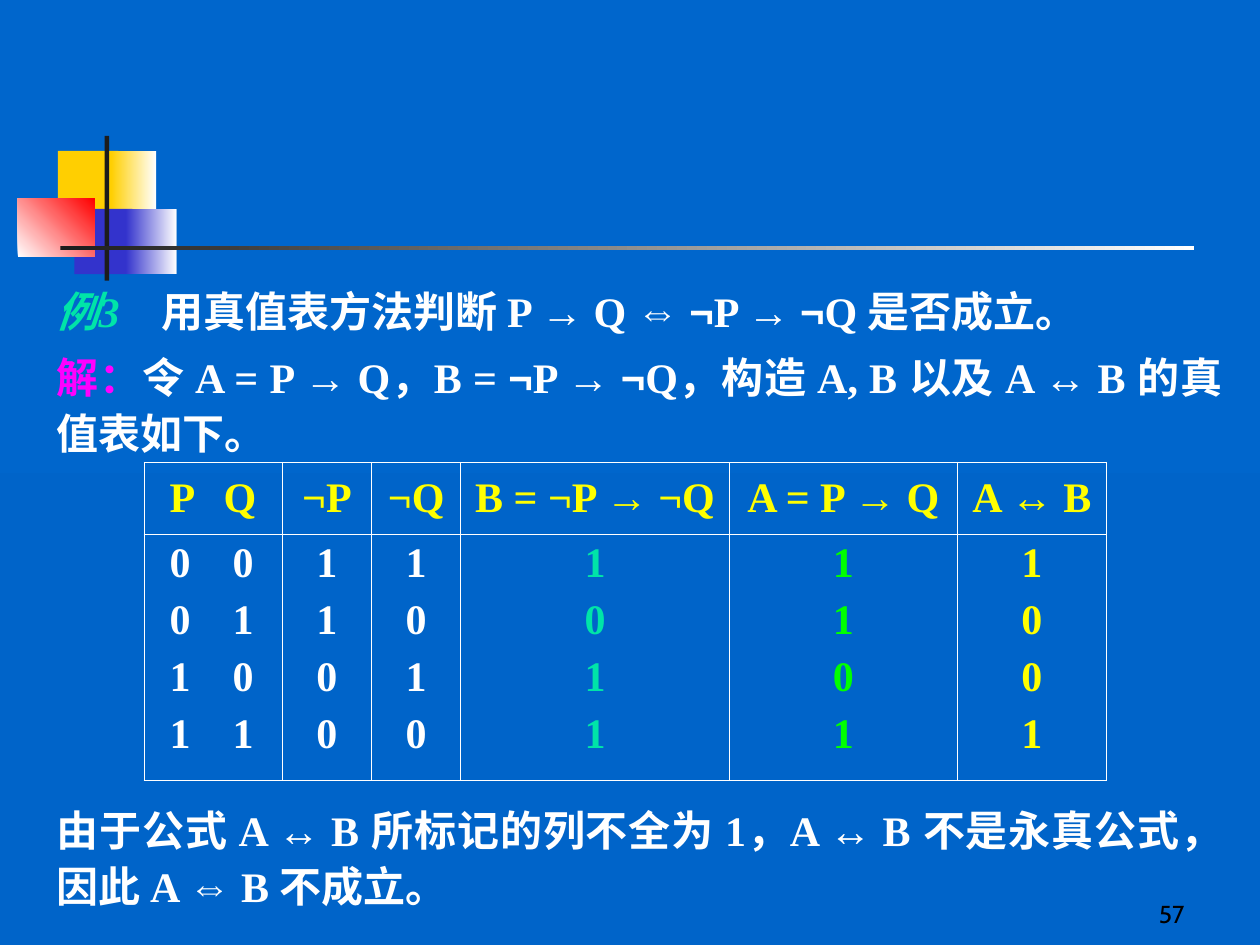
from itertools import groupby

from lxml.etree import SubElement
from pptx import Presentation
from pptx.dml.color import RGBColor
from pptx.enum.text import MSO_ANCHOR, MSO_AUTO_SIZE, PP_ALIGN
from pptx.enum.shapes import MSO_SHAPE
from pptx.oxml import parse_xml
from pptx.oxml.ns import nsdecls, qn
from pptx.util import Cm, Pt

HUES = {
    "top": "0066CC", "base": "0064C9", "gold": "FFCF01", "blue": "3333CC",
    "red": "FF0000", "dark": "1C1C1C", "white": "FFFFFF", "black": "000000",
    "mint": "00E4A8", "pink": "FF00FF", "lemon": "FFFF00", "lime": "00FF00",
}
ARROWS = "→↔⇔"
SERIF, SANS, PAGE = "Times New Roman", "Arial", "Cabin"

# left, top, width, height, start hue, end hue, angle
MARKS = [
    (0.81, 0.3, 1.22, 1.32, "gold", None, 0),
    (1.88, 0.3, 0.91, 1.32, "gold", "white", 0),
    (1.14, 1.47, 1.17, 1.32, "blue", None, 0),
    (2.18, 1.47, 1.02, 1.32, "blue", "white", 0),
    (0, 1.27, 1.55, 1.17, "white", "red", 45),
    (1.75, 0, 0.09, 2.92, "dark", None, 0),
    (0.86, 2.21, 22.86, 0.09, "dark", "white", 0),
]

# space before, then (text, hue) parts
PROSE = [
    (0, [("例3\t", "mint"),
         ("用真值表方法判断 P → Q ⇔ ¬P → ¬Q 是否成立。", "white")]),
    (6, [("解：", "pink"),
         ("令 A = P → Q，B = ¬P → ¬Q，构造 A, B 以及 A ↔ B 的真值表如下。",
          "white")]),
    (195.5, [("由于公式 A ↔ B 所标记的列不全为 1，A ↔ B 不是永真公式，"
              "因此 A ⇔ B 不成立。", "white")]),
]

# heading, width, values, hue
TRUTH = [
    ("P\tQ", 2.79, ["0\t0", "0\t1", "1\t0", "1\t1"], "white"),
    ("¬P", 1.8, "1100", "white"),
    ("¬Q", 1.8, "1010", "white"),
    ("B = ¬P → ¬Q", 5.41, "1011", "mint"),
    ("A = P → Q", 4.6, "1101", "lime"),
    ("A ↔ B", 3, "1001", "lemon"),
]


def rgb(hue):
    return RGBColor.from_string(HUES[hue])


def blend(fill, start, end, angle):
    """Fill with a two-stop gradient; the angle runs counter-clockwise."""
    fill.gradient()
    fill.gradient_angle = angle
    for stop, hue in zip(fill.gradient_stops, (start, end)):
        stop.color.rgb = rgb(hue)


def style(run, hue, face=SERIF, size=24, bold=True):
    font = run.font
    font.name, font.size, font.bold = face, Pt(size), bold
    font.color.rgb = rgb(hue)


def write(para, text, hue, signs=ARROWS):
    """Add runs, with the given signs set in the sans face."""
    for sign, chars in groupby(text, lambda char: char in signs):
        run = para.add_run()
        run.text = "".join(chars)
        style(run, hue, SANS if sign else SERIF)


def set_tab(para, stop):
    tabs = SubElement(para._p.get_or_add_pPr(), qn("a:tabLst"))
    SubElement(tabs, qn("a:tab"), pos=str(Cm(stop)), algn="l")


def add_marks(slide, left, top):
    for x, y, wide, high, start, end, angle in MARKS:
        mark = slide.shapes.add_shape(
            MSO_SHAPE.RECTANGLE, Cm(left + x), Cm(top + y), Cm(wide), Cm(high))
        mark.shadow.inherit = False
        mark.line.fill.background()
        if end:
            blend(mark.fill, start, end, angle)
        else:
            mark.fill.solid()
            mark.fill.fore_color.rgb = rgb(start)


def add_page(slide, left, top, wide, high):
    frame = slide.shapes.add_textbox(
        Cm(left), Cm(top), Cm(wide), Cm(high)).text_frame
    frame.word_wrap = True
    frame.vertical_anchor = MSO_ANCHOR.BOTTOM
    frame.text = "57"
    para = frame.paragraphs[0]
    para.alignment = PP_ALIGN.RIGHT
    style(para.runs[0], "black", PAGE, 14, False)


def add_prose(slide, left, top, wide, high):
    frame = slide.shapes.add_textbox(
        Cm(left), Cm(top), Cm(wide), Cm(high)).text_frame
    frame.word_wrap = True
    frame.auto_size = MSO_AUTO_SIZE.SHAPE_TO_FIT_TEXT
    for row, (gap, parts) in enumerate(PROSE):
        para = frame.add_paragraph() if row else frame.paragraphs[0]
        if row == 0:
            set_tab(para, 2.12)
        para.alignment = PP_ALIGN.JUSTIFY
        para.line_spacing = 1.1
        para.space_before = Pt(gap)
        for text, hue in parts:
            write(para, text, hue, ARROWS + "¬")
    frame.paragraphs[0].runs[0].font.italic = True


def add_edges(cell):
    props = cell._tc.get_or_add_tcPr()
    for spot, side in enumerate("LRTB"):
        props.insert(spot, parse_xml(
            f'<a:ln{side} {nsdecls("a")} w="{Pt(0.45)}"><a:solidFill>'
            f'<a:srgbClr val="{HUES["white"]}"/></a:solidFill></a:ln{side}>'))


def fill_cell(cell, lines, hue, stop):
    """Write one line a paragraph; lines with a tab start from the left."""
    cell.fill.background()
    add_edges(cell)
    frame = cell.text_frame
    for row, text in enumerate(lines):
        para = frame.add_paragraph() if row else frame.paragraphs[0]
        if "\t" in text:
            cell.margin_left = Cm(0.52)
            set_tab(para, stop)
            para.alignment = PP_ALIGN.LEFT
        else:
            para.alignment = PP_ALIGN.CENTER
        para.space_before = Pt(6 if row else 0)
        write(para, text, hue)


def add_truth(slide, left, top, wide, highs):
    table = slide.shapes.add_table(
        2, len(TRUTH), Cm(left), Cm(top), Cm(wide), Cm(sum(highs))).table
    table.first_row = table.horz_banding = False
    for row, high in zip(table.rows, highs):
        row.height = Cm(high)
    for col, (head, span, values, hue) in enumerate(TRUTH):
        table.columns[col].width = Cm(span)
        title = table.cell(0, col)
        title.vertical_anchor = MSO_ANCHOR.MIDDLE
        fill_cell(title, [head], "lemon", 1.09)
        fill_cell(table.cell(1, col), values, hue, 1.27)


def main():
    deck = Presentation()
    deck.slide_width, deck.slide_height = Cm(25.4), Cm(19.05)
    slide = deck.slides.add_slide(deck.slide_layouts[6])
    blend(slide.background.fill, "top", "base", 270)
    add_marks(slide, 0.36, 2.74)
    add_page(slide, 18.85, 17.58, 5.28, 1.27)
    add_prose(slide, 0.89, 5.54, 24, 12.9)
    add_truth(slide, 2.9, 9.32, 19.4, (1.45, 4.95))
    deck.save("out.pptx")


if __name__ == "__main__":
    main()
